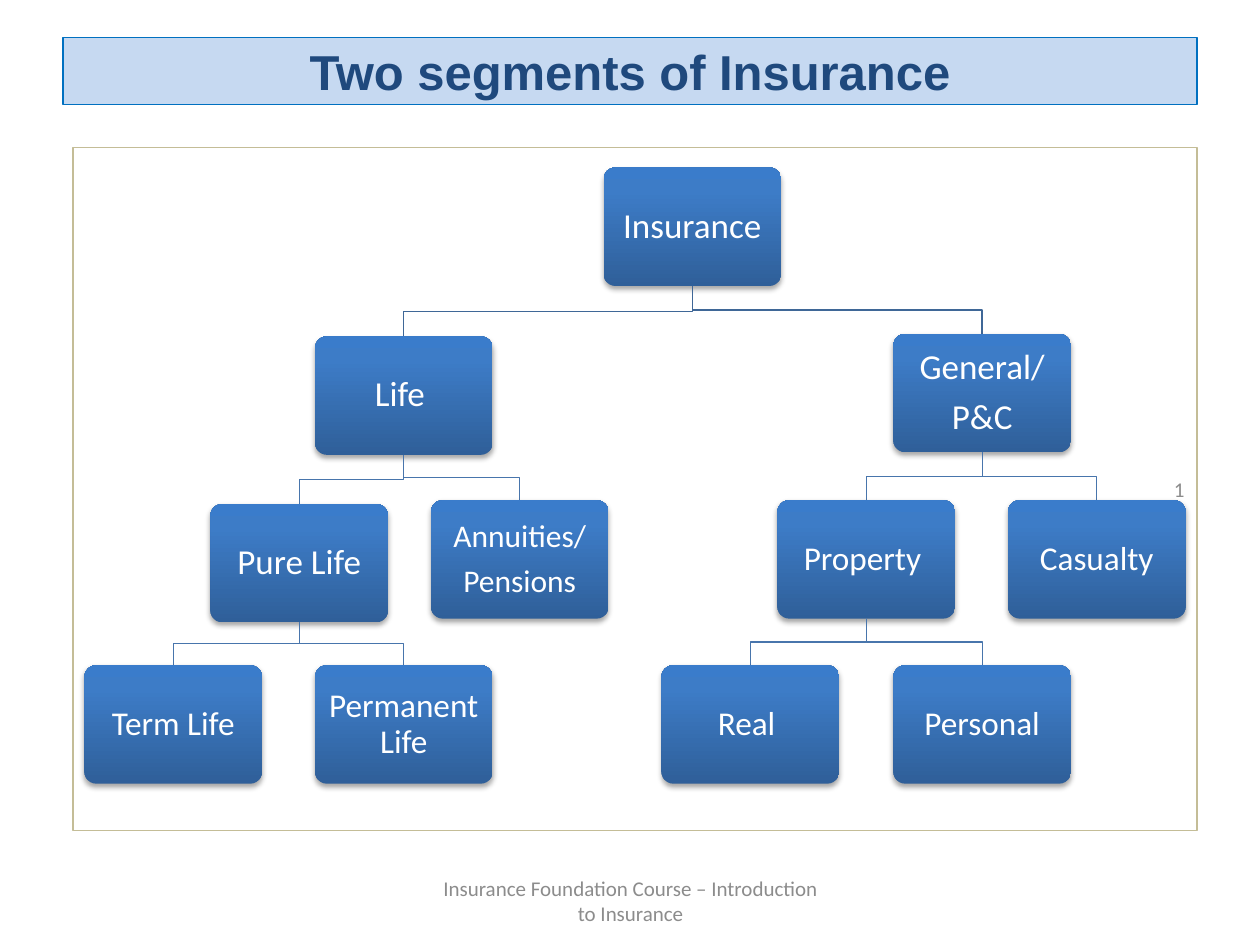
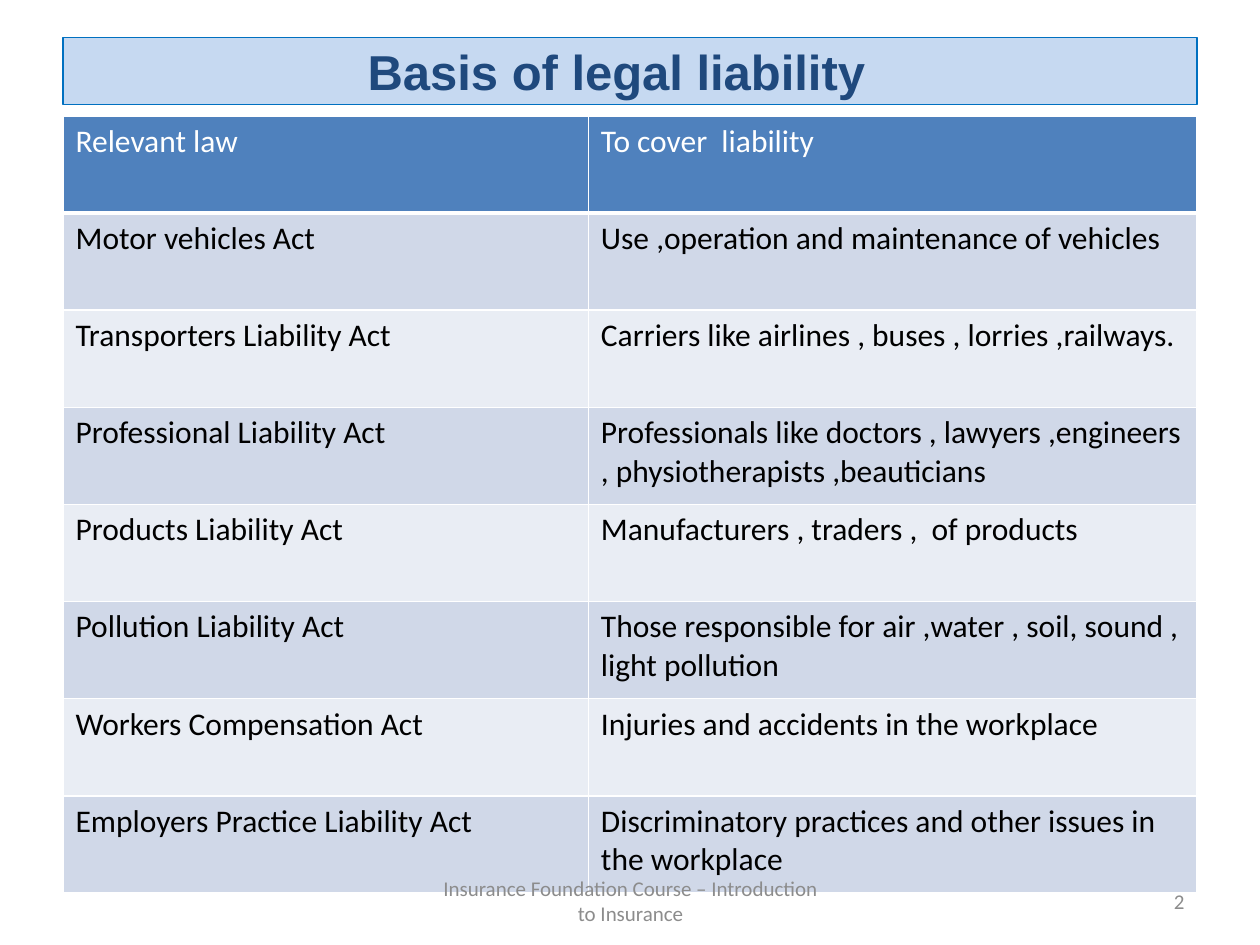
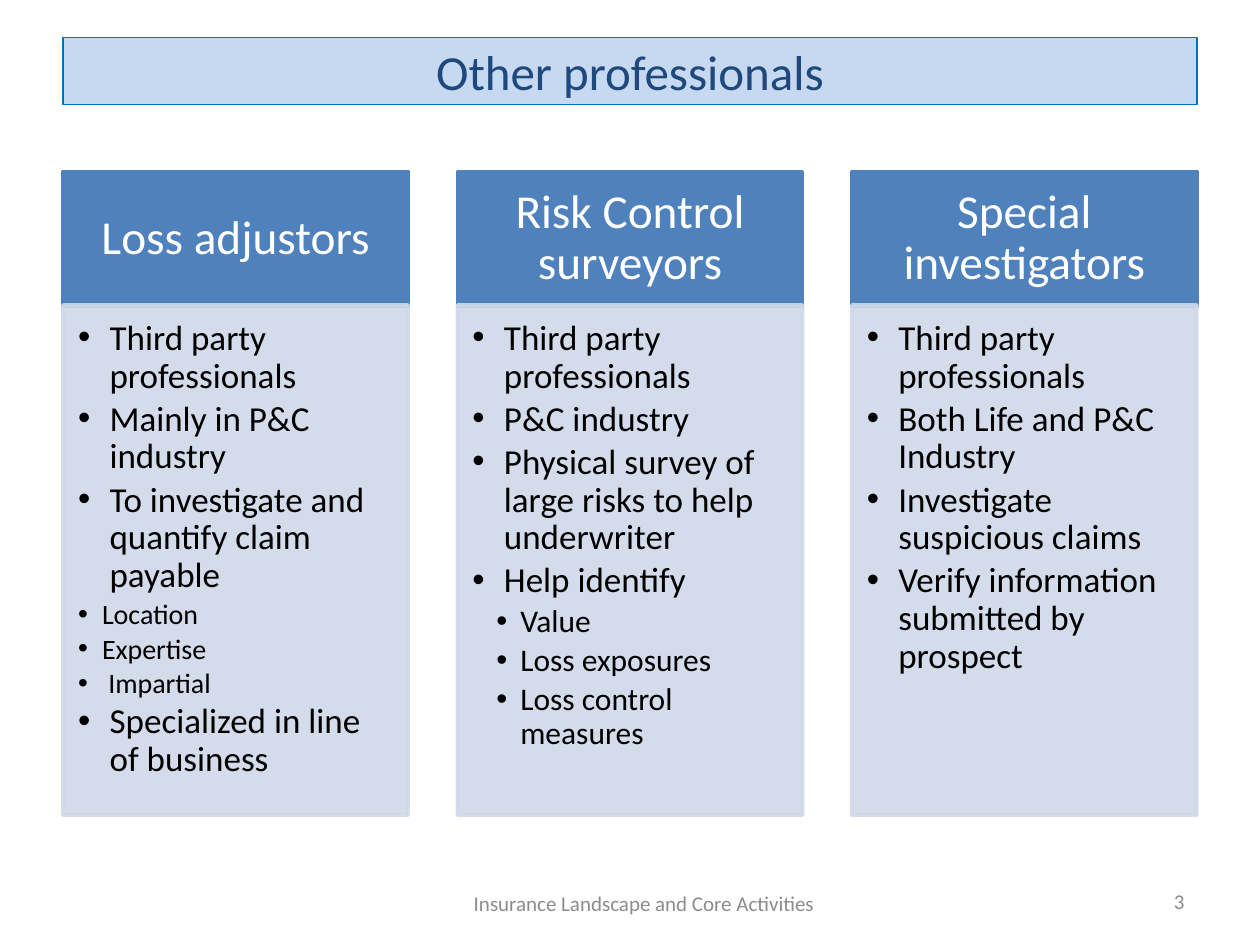
"""Builds three slides on insurance segments, liability law and professionals."""
from dataclasses import dataclass
from typing import Any, NamedTuple

from pptx import Presentation
from pptx import util as u
from pptx.dml.color import RGBColor
from pptx.enum import shapes, text
from pptx.oxml import parse_xml
from pptx.oxml.ns import nsdecls, qn

Align, Anchor, Kind = text.PP_ALIGN, text.MSO_ANCHOR, shapes.MSO_SHAPE


@dataclass(frozen=True)
class Theme:
    body_font: str = "Calibri"
    heading_font: str = "Arial"
    band: str = "C6D9F1"
    band_line: str = "0070C0"
    heading: str = "1F497D"
    muted: str = "8C8C8C"
    frame: str = "C4BD97"
    accent: str = "4F81BD"
    tint: str = "D0D8E8"
    pale: str = "E9EDF4"
    white: str = "FFFFFF"
    black: str = "000000"
    trunk: str = "3F6797"
    branch: str = "4875AC"
    gradient: tuple = ((0, "2F5F99"), (80, "3D7CC7"), (100, "3A7CCB"))
    title_size: int = 28
    column_size: int = 27
    table_size: int = 18
    footer_size: int = 12


THEME = Theme()


class Box(NamedTuple):
    left: float
    top: float
    width: float
    height: float

    def lengths(self) -> list:
        return [u.Inches(side) for side in self]


class Para(NamedTuple):
    words: str
    size: float
    color: str = THEME.black
    font: str = THEME.body_font
    bold: bool = False
    align: Any = Align.LEFT
    line_spacing: float = 1.0
    after: float = 0
    left: float = 0
    hanging: float = 0


class Node(NamedTuple):
    label: str
    left: float
    top: float
    size: int
    parent: str = ""


class Profession(NamedTuple):
    name: str
    duties: list


TITLE = Box(0.5, 0.3, 9, 0.53)
FOOTER = Box(3.42, 6.95, 3.17, 0.4)
WIDE_FOOTER = Box(3.42, 6.92, 3.42, 0.5)
PAGE = Box(7.17, 6.95, 2.33, 0.4)
FRAME = Box(0.58, 1.17, 8.92, 5.42)
COURSE = "Insurance Foundation Course – Introduction to Insurance"
NODE_WIDTH, NODE_HEIGHT = 1.41, 0.94

NODES = [
    Node("Insurance", 4.79, 1.33, 20),
    Node("Life ", 2.5, 2.67, 20, "Insurance"),
    Node("Pure Life", 1.67, 4, 20, "Life "),
    Node("Term Life", 0.67, 5.28, 19, "Pure Life"),
    Node("Permanent Life", 2.5, 5.28, 19, "Pure Life"),
    Node("Annuities/\nPensions", 3.42, 3.97, 18, "Life "),
    Node("General/\nP&C", 7.09, 2.65, 20, "Insurance"),
    Node("Property ", 6.17, 3.97, 19, "General/\nP&C"),
    Node("Real ", 5.25, 5.28, 19, "Property "),
    Node("Personal", 7.09, 5.28, 19, "Property "),
    Node("Casualty", 8, 3.97, 19, "General/\nP&C"),
]

LAWS = [
    ("Relevant law", "To cover  liability "),
    ("Motor vehicles Act", "Use ,operation and maintenance of vehicles"),
    ("Transporters Liability Act", "Carriers like airlines , buses , lorries ,railways."),
    ("Professional Liability Act",
     "Professionals like doctors , lawyers ,engineers , physiotherapists ,beauticians"),
    ("Products Liability Act", "Manufacturers , traders ,  of products"),
    ("Pollution Liability Act",
     "Those responsible for air ,water , soil, sound , light pollution"),
    ("Workers Compensation Act", "Injuries and accidents in the workplace"),
    ("Employers Practice Liability Act",
     "Discriminatory practices and other issues in the workplace"),
]


def duty(words: str, size: int = 20, left: float = 0.25, hanging: float = 0.25) -> Para:
    """Describe one bulleted duty."""
    return Para(words, size, line_spacing=0.9, after=0.15, left=left, hanging=hanging)


def trait(words: str) -> Para:
    """Describe a small first-level bullet."""
    return duty(words, 16, 0.19, 0.19)


def detail(words: str) -> Para:
    """Describe a second-level bullet."""
    return duty(words, 18, 0.38, 0.19)


PROFESSIONS = [
    Profession("Loss adjustors", [
        duty("Third party professionals"), duty("Mainly in P&C industry"),
        duty("To investigate and quantify claim payable"),
        trait("Location"), trait("Expertise"), trait(" Impartial"),
        duty("Specialized in line of business")]),
    Profession("Risk Control surveyors", [
        duty("Third party professionals"), duty("P&C industry"),
        duty("Physical survey of large risks to help underwriter"),
        duty("Help identify"),
        detail("Value"), detail("Loss exposures"), detail("Loss control measures")]),
    Profession("Special investigators", [
        duty("Third party professionals"), duty("Both Life and P&C Industry"),
        duty("Investigate suspicious claims"),
        duty("Verify information submitted by prospect")]),
]


def apply(target: Any, values: dict) -> None:
    """Set every named attribute on the target."""
    for name, value in values.items():
        setattr(target, name, value)


def write(frame: Any, paras: list, anchor: Any = Anchor.MIDDLE,
          insets: tuple = (0.1, 0.05, 0.1, 0.05)) -> None:
    """Fill a text frame with styled paragraphs."""
    sides = ("margin_left", "margin_top", "margin_right", "margin_bottom")
    apply(frame, {"word_wrap": True, "vertical_anchor": anchor,
                  **{side: u.Inches(inset) for side, inset in zip(sides, insets)}})
    for index, para in enumerate(paras):
        line = frame.add_paragraph() if index else frame.paragraphs[0]
        apply(line, {"alignment": para.align, "line_spacing": para.line_spacing,
                     "space_after": u.Pt(para.after * para.size)})
        if para.hanging:
            props = line._p.get_or_add_pPr()
            props.set("marL", str(u.Inches(para.left)))
            props.set("indent", str(-u.Inches(para.hanging)))
            props.append(parse_xml(f'<a:buFont {nsdecls("a")} typeface="Arial"/>'))
            props.append(parse_xml(f'<a:buChar {nsdecls("a")} char="•"/>'))
        run = line.add_run()
        run.text = para.words
        apply(run.font, {"name": para.font, "size": u.Pt(para.size), "bold": para.bold})
        run.font.color.rgb = RGBColor.from_string(para.color)


def panel(slide: Any, box: Box, fill: str = "", line: str = "", width: float = 0.75,
          kind: Any = Kind.RECTANGLE) -> Any:
    """Draw a flat preset shape."""
    shape = slide.shapes.add_shape(kind, *box.lengths())
    shape.shadow.inherit = False
    if fill:
        shape.fill.solid()
        shape.fill.fore_color.rgb = RGBColor.from_string(fill)
    else:
        shape.fill.background()
    if line:
        shape.line.color.rgb = RGBColor.from_string(line)
        shape.line.width = u.Pt(width)
    else:
        shape.line.fill.background()
    return shape


def title(slide: Any, words: str, font: str = THEME.heading_font, bold: bool = True) -> None:
    """Draw the title band."""
    band = panel(slide, TITLE, THEME.band, THEME.band_line)
    write(band.text_frame, [Para(words, THEME.title_size, THEME.heading, font, bold,
                                 Align.CENTER)])


def small_print(slide: Any, box: Box, words: str, align: Any = Align.CENTER) -> None:
    """Write a footer or page number."""
    note = slide.shapes.add_textbox(*box.lengths())
    write(note.text_frame, [Para(words, THEME.footer_size, THEME.muted, align=align)])


def branch(slide: Any, parent: Node, child: Node) -> None:
    """Draw the stepped line from a parent down to its child."""
    start, end = parent.left + NODE_WIDTH / 2, child.left + NODE_WIDTH / 2
    base = parent.top + NODE_HEIGHT
    middle = (base + child.top) / 2
    corners = [(start, middle), (end, middle), (end, child.top)]
    builder = slide.shapes.build_freeform(u.Inches(start), u.Inches(base))
    builder.add_line_segments([(u.Inches(x), u.Inches(y)) for x, y in corners], close=False)
    step = builder.convert_to_shape()
    step.shadow.inherit = False
    step.fill.background()
    color = THEME.branch if parent.parent else THEME.trunk
    step.line.color.rgb = RGBColor.from_string(color)
    step.line.width = u.Pt(0.75)


def segment(slide: Any, node: Node) -> None:
    """Draw one shaded node of the tree."""
    card = panel(slide, Box(node.left, node.top, NODE_WIDTH, NODE_HEIGHT),
                 kind=Kind.ROUNDED_RECTANGLE)
    card.adjustments[0] = 0.1
    props = card._element.spPr
    stops = "".join(f'<a:gs pos="{place * 1000}"><a:srgbClr val="{color}"/></a:gs>'
                    for place, color in THEME.gradient)
    props.replace(props.find(qn("a:noFill")), parse_xml(
        f'<a:gradFill {nsdecls("a")} rotWithShape="1"><a:gsLst>{stops}</a:gsLst>'
        '<a:lin ang="16200000" scaled="0"/></a:gradFill>'))
    props.find(qn("a:effectLst")).append(parse_xml(
        f'<a:outerShdw {nsdecls("a")} blurRad="{u.Pt(3.1)}" dist="{u.Pt(1.8)}" '
        f'dir="5400000" rotWithShape="0"><a:srgbClr val="{THEME.black}">'
        '<a:alpha val="35000"/></a:srgbClr></a:outerShdw>'))
    write(card.text_frame, [Para(words, node.size, THEME.white, align=Align.CENTER,
                                 line_spacing=0.9, after=0.35)
                            for words in node.label.split("\n")], insets=(0.07,) * 4)


def outline(cell: Any, bottom: float) -> None:
    """Give a table cell white borders."""
    props = cell._tc.get_or_add_tcPr()
    widths = {"lnL": 1, "lnR": 1, "lnT": 1, "lnB": bottom}
    for index, (side, width) in enumerate(widths.items()):
        props.insert(index, parse_xml(
            f'<a:{side} {nsdecls("a")} w="{u.Pt(width)}"><a:solidFill>'
            f'<a:srgbClr val="{THEME.white}"/></a:solidFill></a:{side}>'))


def law_table(slide: Any) -> None:
    """Draw the table of laws and the liability they cover."""
    box = Box(0.5, 0.92, 9, 6.17)
    table = slide.shapes.add_table(len(LAWS), 2, *box.lengths()).table
    for column, width in zip(table.columns, (4.17, 4.83)):
        column.width = u.Inches(width)
    for row, entries in enumerate(LAWS):
        table.rows[row].height = u.Inches(box.height / len(LAWS))
        fill = (THEME.tint if row % 2 else THEME.pale) if row else THEME.accent
        for col, words in enumerate(entries):
            cell = table.cell(row, col)
            cell.fill.solid()
            cell.fill.fore_color.rgb = RGBColor.from_string(fill)
            outline(cell, 1 if row else 3)
            write(cell.text_frame, [Para(words, THEME.table_size,
                                         THEME.black if row else THEME.white)])
            cell.vertical_anchor = Anchor.TOP


def profession_column(slide: Any, left: float, width: float, job: Profession) -> None:
    """Draw one profession with its duties."""
    header = panel(slide, Box(left, 1.36, width, 1.07), THEME.accent, THEME.accent, 2)
    write(header.text_frame, [Para(job.name, THEME.column_size, THEME.white,
                                   align=Align.CENTER, line_spacing=0.9, after=0.35)],
          insets=(0.21, 0.12, 0.21, 0.12))
    duties = panel(slide, Box(left, 2.42, width, 4.05), THEME.tint, THEME.tint, 2)
    for color in duties._element.spPr.iter(qn("a:srgbClr")):
        color.append(parse_xml(f'<a:alpha {nsdecls("a")} val="90000"/>'))
    write(duties.text_frame, job.duties, Anchor.TOP, (0.12, 0.12, 0.16, 0.17))


def segments_slide(slide: Any) -> None:
    """Compose the tree of insurance segments."""
    title(slide, "Two segments of Insurance")
    frame = panel(slide, FRAME, line=THEME.frame)
    write(frame.text_frame, [Para("1", THEME.footer_size, THEME.muted, align=Align.RIGHT)])
    by_label = {node.label: node for node in NODES}
    for node in NODES:
        if node.parent:
            branch(slide, by_label[node.parent], node)
        segment(slide, node)
    small_print(slide, FOOTER, COURSE)


def liability_slide(slide: Any) -> None:
    """Compose the slide on legal liability."""
    title(slide, "Basis of legal liability  ")
    law_table(slide)
    small_print(slide, PAGE, "2", Align.RIGHT)
    small_print(slide, FOOTER, COURSE)


def professionals_slide(slide: Any) -> None:
    """Compose the slide on other professionals."""
    title(slide, "Other professionals", THEME.body_font, False)
    width = 2.74
    pitch = (TITLE.width - width) / (len(PROFESSIONS) - 1)
    for index, job in enumerate(PROFESSIONS):
        profession_column(slide, TITLE.left + index * pitch, width, job)
    small_print(slide, PAGE, "3", Align.RIGHT)
    small_print(slide, WIDE_FOOTER, "Insurance Landscape and Core Activities ")


def main() -> None:
    """Build and save the presentation."""
    deck = Presentation()
    apply(deck, {"slide_width": u.Inches(10), "slide_height": u.Inches(7.5)})
    for compose in (segments_slide, liability_slide, professionals_slide):
        compose(deck.slides.add_slide(deck.slide_layouts[6]))
    deck.save("out.pptx")


main()
